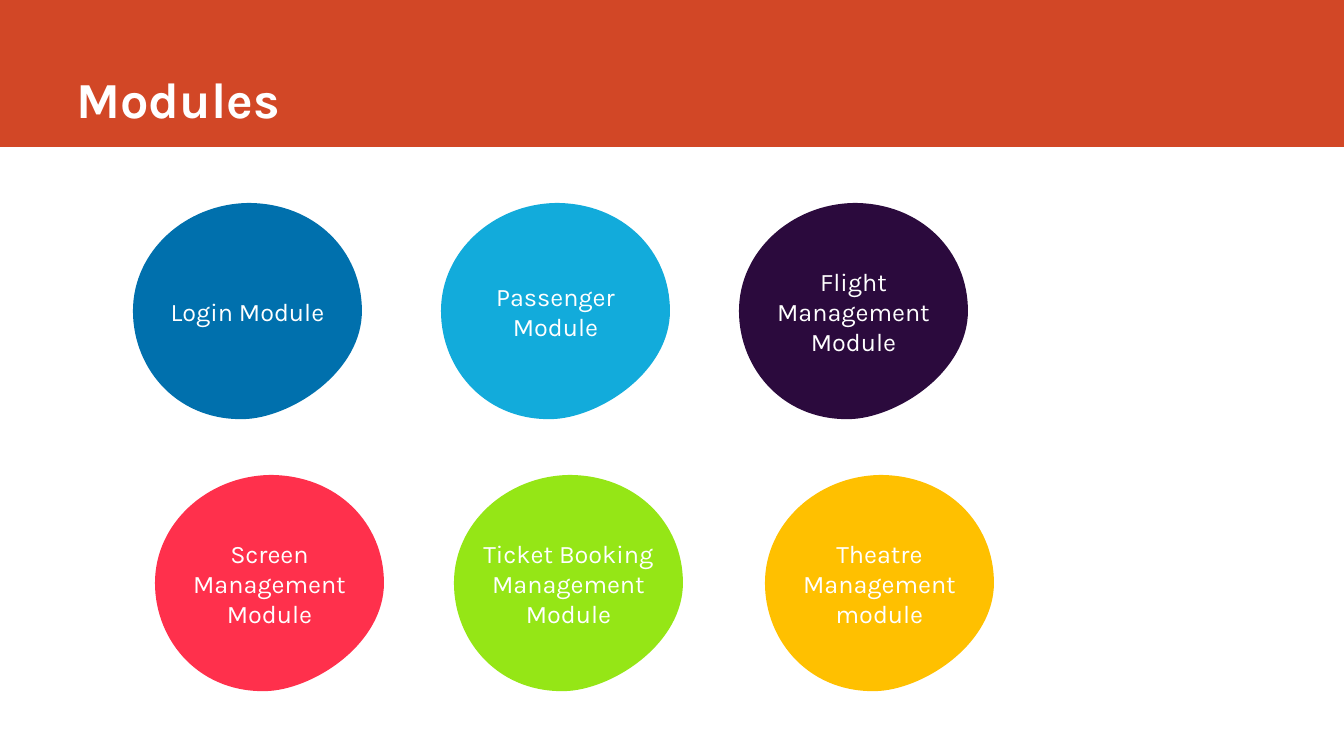
"""Build the Modules slide: a title band above two rows of coloured blobs."""
from lxml import etree
from pptx import Presentation
from pptx import util as u
from pptx.dml.color import RGBColor
from pptx.enum import shapes, text
from pptx.oxml import ns

PX = 12192000 / 1344
FONT = "Karla"
WHITE = RGBColor(0xFF, 0xFF, 0xFF)
ORANGE = RGBColor(0xD2, 0x47, 0x26)
BLUE = RGBColor(0x00, 0x70, 0xAD)
CYAN = RGBColor(0x12, 0xAB, 0xDB)
PURPLE = RGBColor(0x2B, 0x0A, 0x3D)
RED = RGBColor(0xFF, 0x30, 0x4C)
GREEN = RGBColor(0x95, 0xE6, 0x16)
YELLOW = RGBColor(0xFF, 0xC0, 0x00)

BLOB_HEIGHT = 217
BLOB_START = (0, 108)
BLOB_CURVES = [
    (0, 48), (53, 1), (115, 0),
    (182, 0), (229, 48), (229, 108),
    (229, 167), (163, 212), (115, 216),
    (46, 220), (0, 167), (0, 108),
]
MODULES = [
    (133, 203, BLUE, "Login Module"),
    (441, 203, CYAN, "Passenger Module"),
    (739, 203, PURPLE, "Flight\nManagement Module"),
    (155, 475, RED, "Screen Management Module"),
    (454, 475, GREEN, "Ticket Booking\nManagement Module"),
    (765, 475, YELLOW, "Theatre Management module"),
]


def px(pixels):
    return u.Emu(round(pixels * PX))


def style(paragraph, size, bold, align):
    paragraph.alignment = align
    paragraph.font.name = FONT
    paragraph.font.size = u.Pt(size)
    paragraph.font.bold = bold
    paragraph.font.color.rgb = WHITE


prs = Presentation()
prs.slide_width, prs.slide_height = px(1344), px(756)
slide = prs.slides.add_slide(prs.slide_layouts[5])

title = slide.shapes.title
title.left, title.top, title.width, title.height = px(66), px(0), px(1185), px(134)
title.text_frame.text = "Modules"
title.text_frame.auto_size = text.MSO_AUTO_SIZE.NONE
title.text_frame.vertical_anchor = text.MSO_ANCHOR.BOTTOM
style(title.text_frame.paragraphs[0], 36, True, text.PP_ALIGN.LEFT)

band = slide.shapes.add_shape(shapes.MSO_SHAPE.RECTANGLE, 0, 0, px(1344), px(147))
band.shadow.inherit = False
band.fill.solid()
band.fill.fore_color.rgb = ORANGE
band.line.fill.background()
title.element.addprevious(band.element)

for left, top, colour, label in MODULES:
    builder = slide.shapes.build_freeform(left + BLOB_START[0], top + BLOB_START[1], scale=PX)
    builder.add_line_segments([(left + x, top + y) for x, y in BLOB_CURVES], close=True)
    blob = builder.convert_to_shape()
    outline = blob.element.xpath(".//a:path")[0]
    segments = outline.findall(ns.qn("a:lnTo"))
    for first in range(0, len(segments), 3):
        curve = etree.Element(ns.qn("a:cubicBezTo"))
        segments[first].addprevious(curve)
        for segment in segments[first:first + 3]:
            curve.append(segment[0])
            outline.remove(segment)
    outline.set("h", str(BLOB_HEIGHT))
    blob.height = px(BLOB_HEIGHT)
    blob.shadow.inherit = False
    blob.fill.solid()
    blob.fill.fore_color.rgb = colour
    blob.line.fill.background()
    frame = blob.text_frame
    frame.text = label
    frame.word_wrap = True
    frame.vertical_anchor = text.MSO_ANCHOR.MIDDLE
    frame.margin_left = frame.margin_right = px(20)
    for paragraph in frame.paragraphs:
        style(paragraph, 18, False, text.PP_ALIGN.CENTER)

prs.save("out.pptx")
